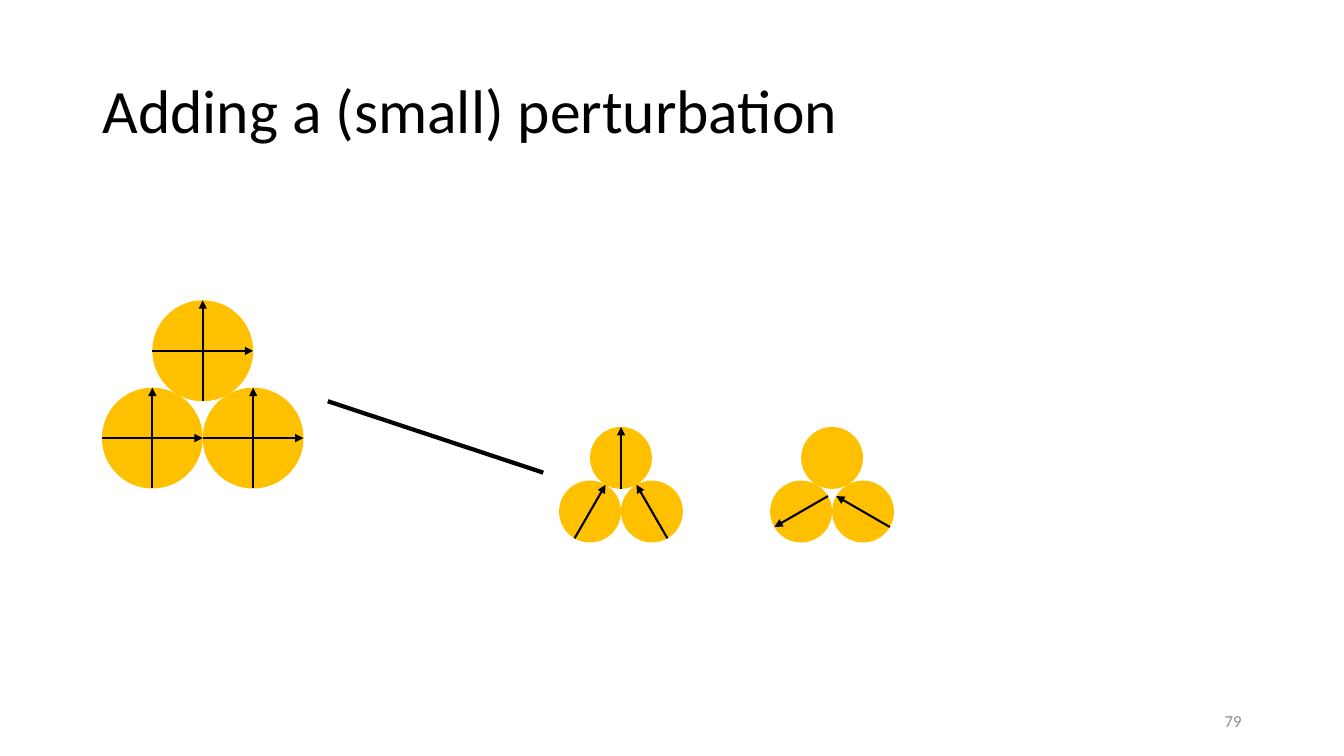
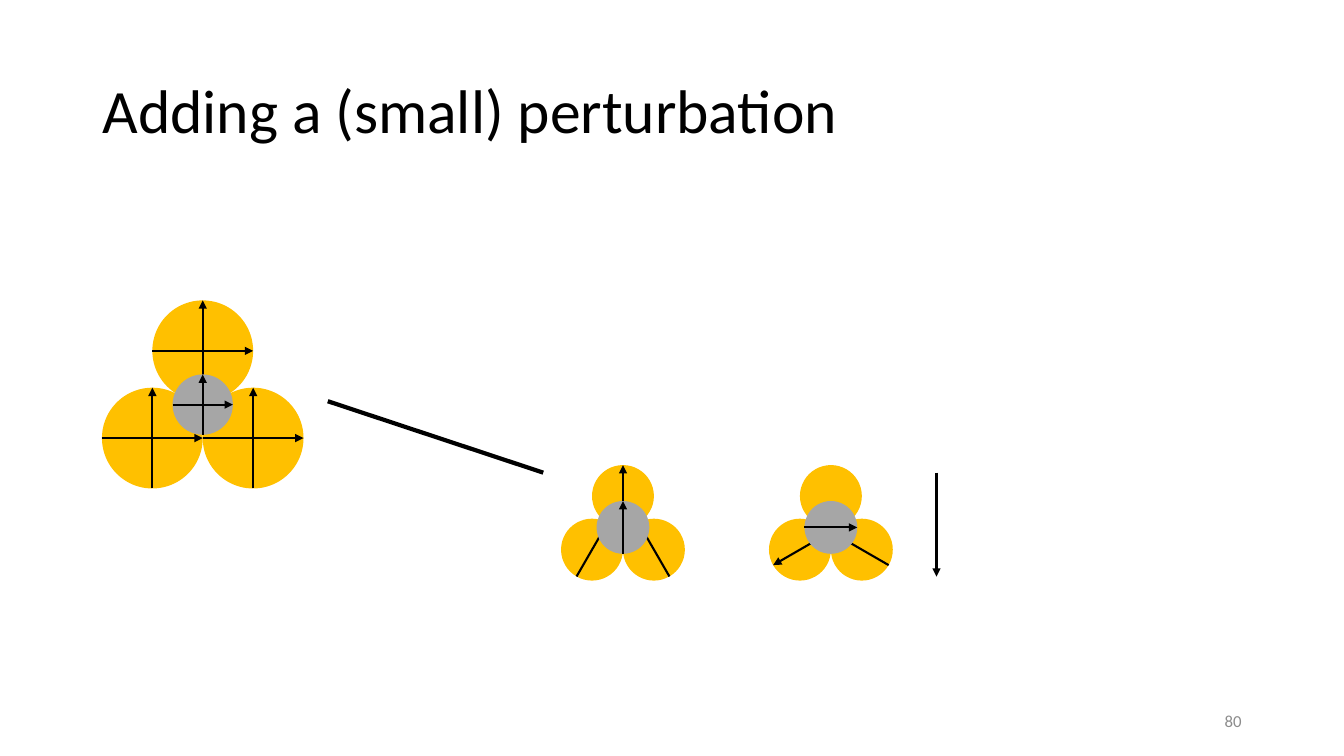
from math import cos, radians, sin, sqrt

from lxml.etree import SubElement
from pptx import Presentation
from pptx.dml.color import RGBColor
from pptx.enum.shapes import MSO_CONNECTOR, MSO_SHAPE
from pptx.enum.text import MSO_ANCHOR, MSO_AUTO_SIZE, PP_ALIGN
from pptx.oxml.ns import qn
from pptx.util import Cm, Pt

FONT = "Calibri"
BLACK, MUTED = "000000", "8C8C8C"
AMBER, GREY = "FFC000", "A6A6A6"
TITLE_ONLY = 5
FIRST_NUMBER = 79

# Sizes in centimetres, arrow directions in degrees anticlockwise from east
LARGE, SMALL = 2.54, 1.56
CORE_RISE = 0.11
CROSS = (0, 90)
ALL_CROSSED = (CROSS, CROSS, CROSS)
INWARD = ((90,), (60,), (120,))
SIDEWAYS = ((), (210,), (150,))


def color(value):
    return RGBColor.from_string(value)


def write(box, text, size, ink, align):
    frame = box.text_frame
    frame.word_wrap = True
    frame.auto_size = MSO_AUTO_SIZE.NONE
    frame.vertical_anchor = MSO_ANCHOR.MIDDLE
    para = frame.paragraphs[0]
    para.alignment = align
    span = para.add_run()
    span.text = text
    span.font.name = FONT
    span.font.size = Pt(size)
    span.font.color.rgb = color(ink)
    return para


def add_line(page, start, end, width=1.5, arrow=True):
    points = [Cm(value) for value in (*start, *end)]
    connector = page.shapes.add_connector(MSO_CONNECTOR.STRAIGHT, *points)
    connector.line.color.rgb = color(BLACK)
    connector.line.width = Pt(width)
    properties = connector.element.spPr
    if arrow:
        SubElement(properties.find(qn("a:ln")), qn("a:tailEnd"), type="triangle")
    SubElement(properties, qn("a:effectLst"))


def add_disc(page, center, diameter, fill):
    x, y = center
    disc = page.shapes.add_shape(
        MSO_SHAPE.OVAL, Cm(x - diameter / 2), Cm(y - diameter / 2),
        Cm(diameter), Cm(diameter))
    disc.shadow.inherit = False
    disc.fill.solid()
    disc.fill.fore_color.rgb = color(fill)
    disc.line.fill.background()


def add_diameters(page, center, diameter, angles):
    """Draw an arrow across a disc in each of the given directions."""
    x, y = center
    for angle in angles:
        dx = diameter / 2 * cos(radians(angle))
        dy = diameter / 2 * sin(radians(angle))
        add_line(page, (x - dx, y + dy), (x + dx, y - dy))


def add_cluster(page, left, top, diameter, directions):
    """Draw three touching discs: top, lower left, lower right."""
    upper = top + diameter / 2
    lower = upper + diameter * sqrt(3) / 2
    centers = [(left + diameter, upper),
               (left + diameter / 2, lower),
               (left + diameter * 1.5, lower)]
    for center in centers:
        add_disc(page, center, diameter, AMBER)
    for center, angles in zip(centers, directions):
        add_diameters(page, center, diameter, angles)


def add_core(page, left, top, cluster_diameter, diameter, angles):
    """Draw the grey disc in the middle of the cluster at left, top."""
    center = (left + cluster_diameter,
              top + cluster_diameter * (1 / 2 + 1 / sqrt(3)) - CORE_RISE)
    add_disc(page, center, diameter, GREY)
    add_diameters(page, center, diameter, angles)


def add_page(deck, number):
    page = deck.slides.add_slide(deck.slide_layouts[TITLE_ONLY])
    title = page.shapes.title
    title.left, title.top = Cm(2.33), Cm(1.01)
    title.width, title.height = Cm(29.21), Cm(3.68)
    para = write(title, "Adding a (small) perturbation", 44, BLACK, PP_ALIGN.LEFT)
    para.line_spacing = 0.9
    box = page.shapes.add_textbox(Cm(23.92), Cm(17.65), Cm(7.62), Cm(1.01))
    write(box, str(number), 12, MUTED, PP_ALIGN.RIGHT)
    return page


def add_diagram(page, clusters, core_details=()):
    """Draw the clusters, then any cores over them, and the splitting line."""
    for cluster in clusters:
        add_cluster(page, *cluster)
    for (left, top, size, _), (diameter, angles) in zip(clusters, core_details):
        add_core(page, left, top, size, diameter, angles)
    add_line(page, (8.26, 10.11), (13.69, 11.91), width=3, arrow=False)


def main():
    deck = Presentation()
    deck.slide_width, deck.slide_height = Cm(33.87), Cm(19.05)
    basis = (2.57, 7.57, LARGE, ALL_CROSSED)

    symmetric = add_page(deck, FIRST_NUMBER)
    add_diagram(symmetric, [basis,
                            (14.09, 10.76, SMALL, INWARD),
                            (19.41, 10.76, SMALL, SIDEWAYS)])

    perturbed = add_page(deck, FIRST_NUMBER + 1)
    add_diagram(perturbed, [basis,
                            (14.14, 11.72, SMALL, INWARD),
                            (19.38, 11.72, SMALL, SIDEWAYS)],
                core_details=[(1.52, CROSS), (1.33, (90,)), (1.33, (0,))])
    add_line(perturbed, (23.6, 11.91), (23.6, 14.53))

    deck.save("out.pptx")


if __name__ == "__main__":
    main()
